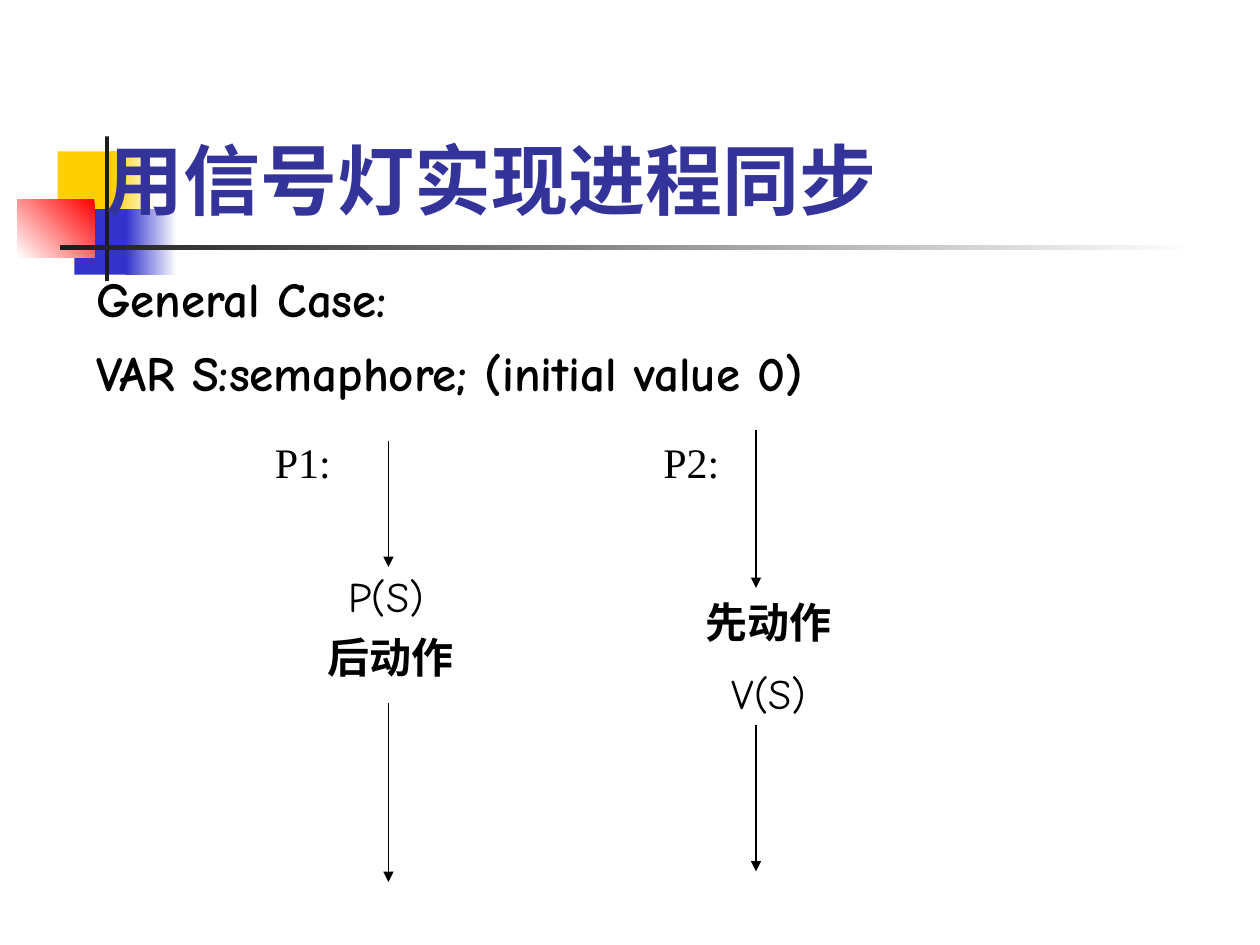
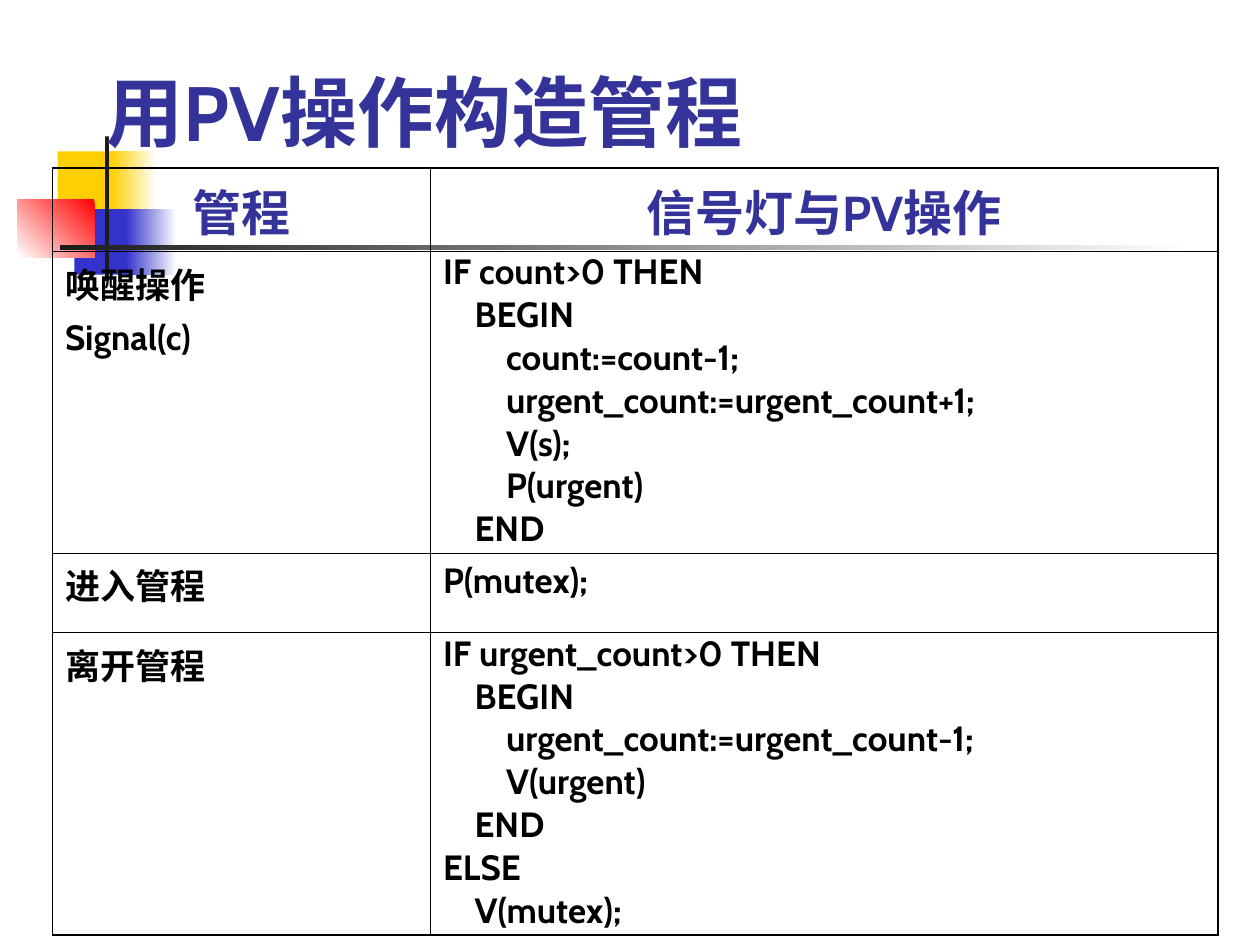
from dataclasses import dataclass

from lxml import etree
from pptx import Presentation
from pptx import util as u
from pptx.dml.color import RGBColor
from pptx.enum import shapes, text
from pptx.oxml import ns

Pt = u.Pt


@dataclass(frozen=True)
class Theme:
    black: str = "000000"
    white: str = "FFFFFF"
    title: str = "333399"
    yellow: str = "FFCF01"
    blue: str = "3333CC"
    red: str = "FF0000"
    bar: str = "1C1C1C"
    sans: str = "Cabin"
    comic: str = "Comic Neue"
    serif: str = "Times New Roman"
    title_size: int = 44
    heading_size: int = 28
    label_size: int = 24
    code_size: int = 20
    thin: float = 0.45
    arrow: float = 0.75
    thick: float = 1.08


THEME = Theme()
CODE_INDENT = 18

SIGNAL_CODE = [
    (0, "IF count>0 THEN"),
    (1, "BEGIN"),
    (2, "count:=count-1;"),
    (2, "urgent_count:=urgent_count+1;"),
    (2, "V(s);"),
    (2, "P(urgent)"),
    (1, "END"),
]
LEAVE_CODE = [
    (0, "IF urgent_count>0 THEN"),
    (1, "BEGIN"),
    (2, "urgent_count:=urgent_count-1;"),
    (2, "V(urgent)"),
    (1, "END"),
    (0, "ELSE"),
    (1, "V(mutex);"),
]


def rgb(colour):
    return RGBColor.from_string(colour)


def write(frame, content, *, size, font, colour=THEME.black, bold=False, before=0,
          spacing=None, align=text.PP_ALIGN.LEFT, indent=0, first=True):
    """Add one paragraph; first=True uses the paragraph the frame already has."""
    paragraph = frame.paragraphs[0] if first else frame.add_paragraph()
    paragraph.alignment = align
    paragraph.space_before = Pt(before)
    if spacing:
        paragraph.line_spacing = spacing
    if indent:
        properties = paragraph._p.get_or_add_pPr()
        properties.set("marL", str(Pt(indent)))
        properties.set("indent", "0")
    run = paragraph.add_run()
    run.text = content
    run.font.size = Pt(size)
    run.font.name = font
    run.font.bold = bold
    run.font.color.rgb = rgb(colour)


def add_box(slide, left, top, width, height, anchor=text.MSO_ANCHOR.TOP):
    """Add an empty wrapping text box and return its text frame."""
    frame = slide.shapes.add_textbox(Pt(left), Pt(top), Pt(width), Pt(height)).text_frame
    frame.word_wrap = True
    frame.vertical_anchor = anchor
    return frame


def add_block(slide, left, top, width, height, start, end=None, angle=180):
    """Add a borderless rectangle, plain or fading clockwise by angle."""
    block = slide.shapes.add_shape(shapes.MSO_SHAPE.RECTANGLE,
                                   Pt(left), Pt(top), Pt(width), Pt(height))
    block.shadow.inherit = False
    block.line.fill.background()
    if end is None:
        block.fill.solid()
        block.fill.fore_color.rgb = rgb(start)
        return
    block.fill.gradient()
    block.fill.gradient_angle = 360 - angle
    for stop, colour in zip(block.fill.gradient_stops, (start, end)):
        stop.color.rgb = rgb(colour)


def add_ornament(slide):
    add_block(slide, 33, 86.5, 34.5, 37.5, THEME.yellow)
    add_block(slide, 63.5, 86.5, 26, 37.5, THEME.white, THEME.yellow)
    add_block(slide, 42.5, 119.5, 33, 37.5, THEME.blue)
    add_block(slide, 72, 119.5, 29, 37.5, THEME.white, THEME.blue)
    add_block(slide, 10, 114, 44, 33, THEME.red, THEME.white, angle=135)
    add_block(slide, 60, 78, 2.25, 82.5, THEME.bar)
    add_block(slide, 34.5, 140.25, 648, 2.5, THEME.white, THEME.bar)


def add_titled_slide(presentation, title, top, anchor):
    slide = presentation.slides.add_slide(presentation.slide_layouts[6])
    add_ornament(slide)
    write(add_box(slide, 54, top, 612, 90, anchor), title, size=THEME.title_size,
          font=THEME.sans, colour=THEME.title, bold=True)
    return slide


def add_down_arrow(slide, x, top, bottom):
    arrow = slide.shapes.add_connector(shapes.MSO_CONNECTOR.STRAIGHT,
                                       Pt(x), Pt(top), Pt(x), Pt(bottom))
    arrow.line.width = Pt(THEME.arrow)
    arrow.line.color.rgb = rgb(THEME.black)
    etree.SubElement(arrow.line._get_or_add_ln(), ns.qn("a:tailEnd"), type="triangle")
    etree.SubElement(arrow._element.spPr, ns.qn("a:effectLst"))


def set_borders(cell, widths):
    """Set the left, right, top and bottom border widths of a cell."""
    properties = cell._tc.get_or_add_tcPr()
    for position, (side, width) in enumerate(zip("LRTB", widths)):
        line = etree.Element(ns.qn(f"a:ln{side}"), w=str(Pt(width)))
        fill = etree.SubElement(line, ns.qn("a:solidFill"))
        etree.SubElement(fill, ns.qn("a:srgbClr"), val=THEME.black)
        properties.insert(position, line)


def add_grid(slide, left, top, column_widths, row_heights):
    """Add an unfilled table with a thick frame and thin inner lines."""
    rows, columns = len(row_heights), len(column_widths)
    table = slide.shapes.add_table(rows, columns, Pt(left), Pt(top),
                                   Pt(sum(column_widths)), Pt(sum(row_heights))).table
    table.first_row = table.horz_banding = False
    for column, width in zip(table.columns, column_widths):
        column.width = Pt(width)
    for row, height in zip(table.rows, row_heights):
        row.height = Pt(height)
    for r in range(rows):
        for c in range(columns):
            cell = table.cell(r, c)
            cell.fill.background()
            outer = (c == 0, c == columns - 1, r == 0, r == rows - 1)
            set_borders(cell, [THEME.thick if edge else THEME.thin for edge in outer])
    return table


def write_code(cell, lines, spacing=None):
    """Write (indent level, text) lines into a table cell."""
    for number, (level, line) in enumerate(lines):
        write(cell.text_frame, line, size=THEME.code_size, font=THEME.sans, bold=True,
              before=5, spacing=spacing, indent=level * CODE_INDENT, first=number == 0)


def build_synchronisation(presentation):
    slide = add_titled_slide(presentation, "用信号灯实现进程同步", 42, text.MSO_ANCHOR.BOTTOM)

    intro = add_box(slide, 48, 150, 630, 82)
    intro_style = dict(size=THEME.heading_size, font=THEME.comic, bold=True, before=17.5)
    write(intro, "General Case:", **intro_style)
    write(intro, "VAR S:semaphore; (initial value 0)", spacing=0.7, first=False, **intro_style)

    for x, top, bottom in ((222, 252, 324), (222, 402, 504), (432, 246, 336), (432, 414, 498)):
        add_down_arrow(slide, x, top, bottom)

    label = dict(size=THEME.label_size, font=THEME.comic)
    waiting = add_box(slide, 180, 322.5, 90, 71)
    write(waiting, "P(S)", before=6, indent=12, **label)
    write(waiting, "后动作", before=6, bold=True, first=False, **label)

    signalling = add_box(slide, 396, 340.5, 90, 74)
    write(signalling, "先动作", before=15, spacing=0.9, bold=True, **label)
    write(signalling, "V(S)", before=15, spacing=0.9, indent=15, first=False, **label)

    for left, process in ((150, "P1:"), (372, "P2:")):
        write(add_box(slide, left, 246, 54, 36), process, size=THEME.label_size,
              font=THEME.serif, before=15)


def build_monitor(presentation):
    slide = add_titled_slide(presentation, "用PV操作构造管程", 18, text.MSO_ANCHOR.MIDDLE)
    table = add_grid(slide, 30, 96, (216, 450), (47.5, 172.5, 45.5, 173))

    for column, heading in enumerate(("管程", "信号灯与PV操作")):
        write(table.cell(0, column).text_frame, heading, size=THEME.heading_size,
              font=THEME.sans, colour=THEME.title, bold=True, before=7,
              align=text.PP_ALIGN.CENTER)

    operations = (
        (["唤醒操作", "Signal(c)"], SIGNAL_CODE, 0.8),
        (["进入管程"], [(0, "P(mutex);")], None),
        (["离开管程"], LEAVE_CODE, 0.8),
    )
    for row, (names, code, spacing) in enumerate(operations, start=1):
        write_code(table.cell(row, 0), [(0, name) for name in names])
        write_code(table.cell(row, 1), code, spacing)


def main():
    presentation = Presentation()
    presentation.slide_width = Pt(720)
    presentation.slide_height = Pt(540)
    build_synchronisation(presentation)
    build_monitor(presentation)
    presentation.save("out.pptx")


if __name__ == "__main__":
    main()
